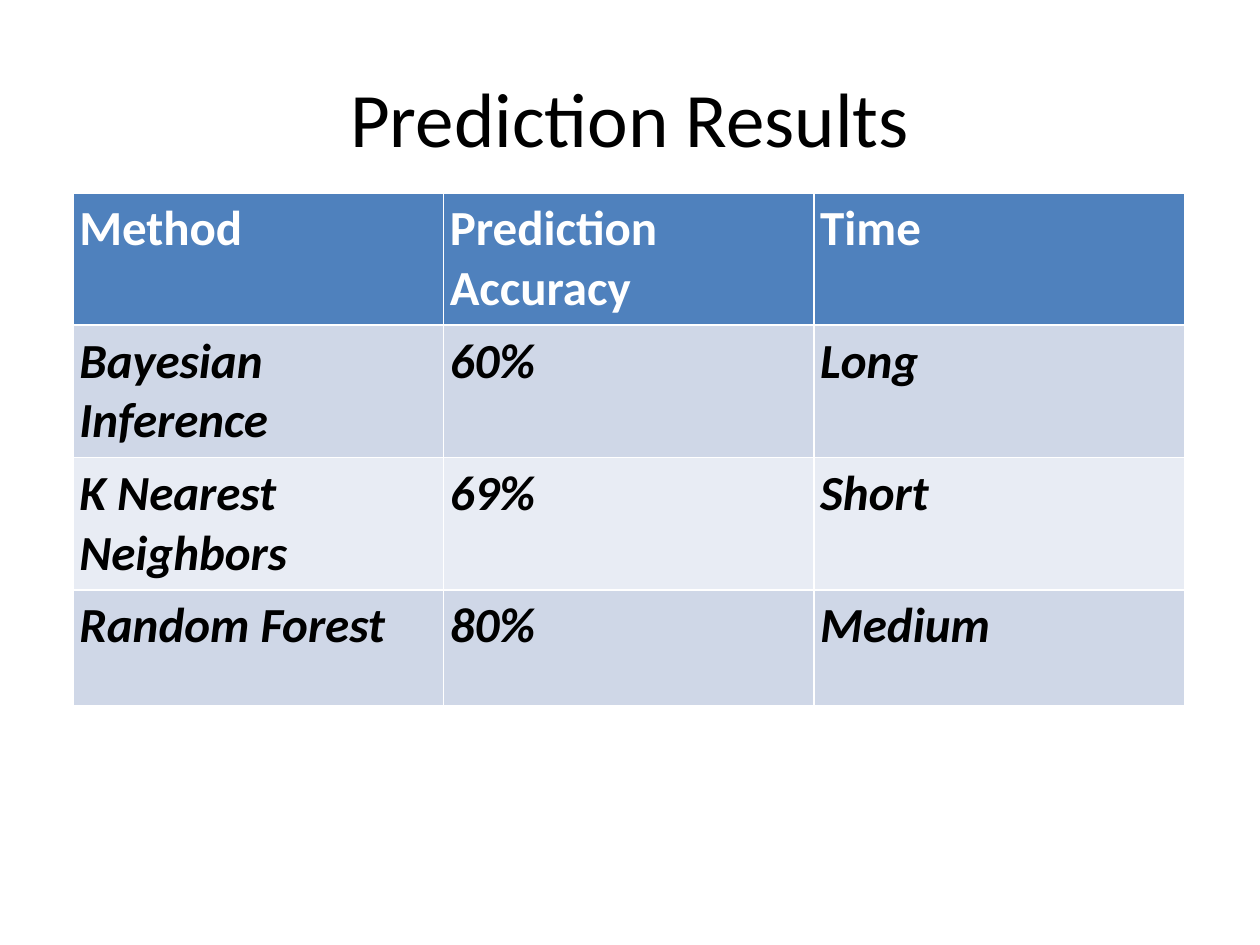
from pptx import Presentation
from pptx.dml.color import RGBColor
from pptx.enum.text import MSO_ANCHOR, PP_ALIGN
from pptx.util import Inches, Pt

TITLE = "Prediction Results"
ROWS = [
    ("Method", "Prediction Accuracy", "Time"),
    ("Bayesian Inference", "60%", "Long"),
    ("K Nearest Neighbors", "69%", "Short"),
    ("Random Forest", "80%", "Medium"),
]

FONT = "Calibri"
BLACK = RGBColor(0x00, 0x00, 0x00)
WHITE = RGBColor(0xFF, 0xFF, 0xFF)
HEADER_FILL = RGBColor(0x4F, 0x81, 0xBD)
BAND_FILLS = (RGBColor(0xCF, 0xD7, 0xE7), RGBColor(0xE8, 0xEC, 0xF4))

COLUMN_WIDTH = Inches(2.94)
ROW_HEIGHT = Inches(0.92)
MARGIN = Inches(0.05)


def set_margins(target):
    target.margin_left = target.margin_right = MARGIN
    target.margin_top = target.margin_bottom = MARGIN


def style_font(paragraph, size, color, bold=False, italic=False):
    font = paragraph.runs[0].font
    font.name = FONT
    font.size = Pt(size)
    font.color.rgb = color
    font.bold = bold
    font.italic = italic


def add_title(slide):
    title = slide.shapes.title
    title.left, title.top = Inches(0.5), Inches(0.3)
    title.width, title.height = Inches(9), Inches(1.25)
    frame = title.text_frame
    frame.text = TITLE
    frame.vertical_anchor = MSO_ANCHOR.MIDDLE
    set_margins(frame)
    frame.paragraphs[0].alignment = PP_ALIGN.CENTER
    style_font(frame.paragraphs[0], 44, BLACK)


def add_results_table(slide):
    """Add the table; its default style supplies the white cell borders."""
    row_count, column_count = len(ROWS), len(ROWS[0])
    table = slide.shapes.add_table(
        row_count, column_count, Inches(0.58), Inches(1.53),
        COLUMN_WIDTH * column_count, ROW_HEIGHT * row_count,
    ).table
    for row_index, texts in enumerate(ROWS):
        is_header = row_index == 0
        fill = HEADER_FILL if is_header else BAND_FILLS[(row_index - 1) % 2]
        for column_index, text in enumerate(texts):
            cell = table.cell(row_index, column_index)
            cell.text = text
            set_margins(cell)
            cell.fill.solid()
            cell.fill.fore_color.rgb = fill
            style_font(cell.text_frame.paragraphs[0], 28,
                       WHITE if is_header else BLACK,
                       bold=True, italic=not is_header)


def main():
    presentation = Presentation()
    presentation.slide_width, presentation.slide_height = Inches(10), Inches(7.5)
    slide = presentation.slides.add_slide(
        presentation.slide_layouts.get_by_name("Title Only"))
    add_title(slide)
    add_results_table(slide)
    presentation.save("out.pptx")


if __name__ == "__main__":
    main()
